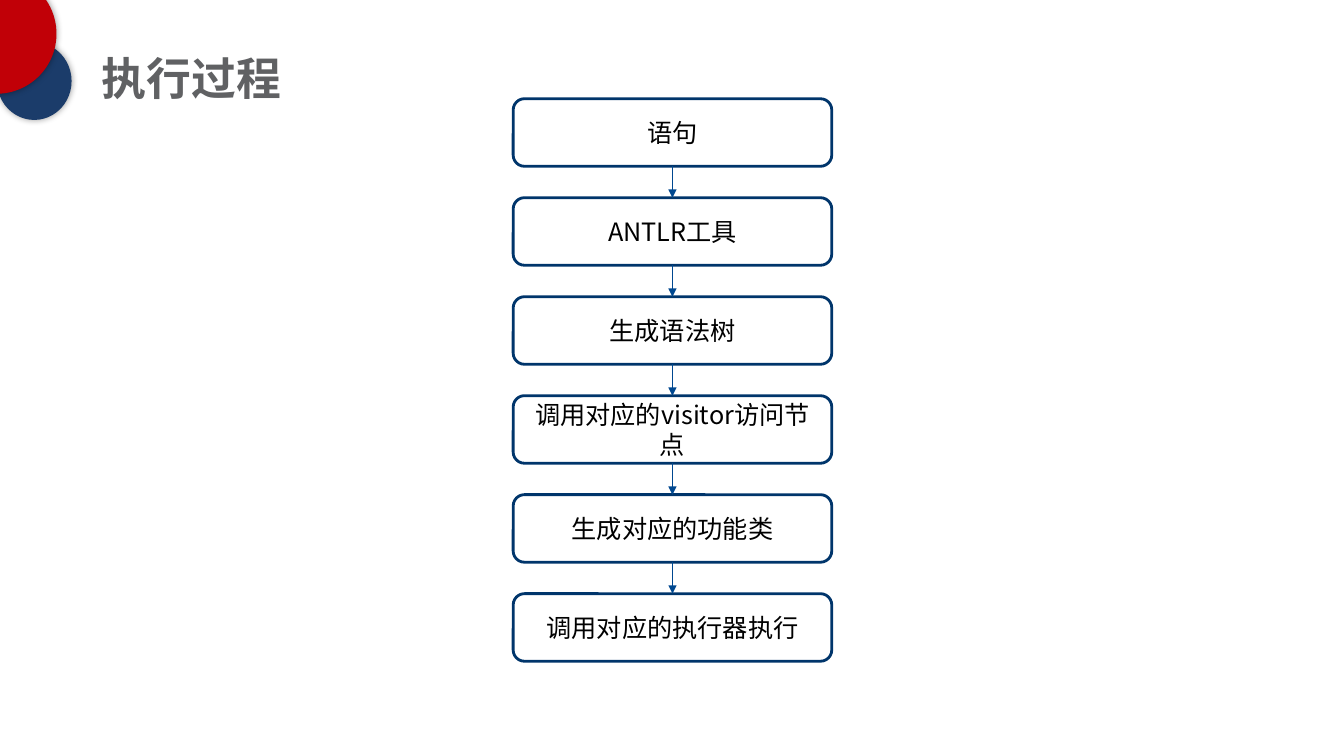
from lxml import etree
from pptx import Presentation
from pptx.dml.color import RGBColor
from pptx.enum.shapes import MSO_CONNECTOR, MSO_SHAPE
from pptx.enum.text import MSO_ANCHOR, MSO_AUTO_SIZE, PP_ALIGN
from pptx.oxml.ns import qn
from pptx.util import Inches, Pt

OVAL = MSO_SHAPE.OVAL
STEP_SHAPE = MSO_SHAPE.FLOWCHART_ALTERNATE_PROCESS
STRAIGHT = MSO_CONNECTOR.STRAIGHT
MIDDLE = MSO_ANCHOR.MIDDLE
NO_FIT = MSO_AUTO_SIZE.NONE
LEFT, CENTER = PP_ALIGN.LEFT, PP_ALIGN.CENTER

BLACK = RGBColor(0x00, 0x00, 0x00)
GRAY = RGBColor(0x60, 0x61, 0x63)
RED = RGBColor(0xC1, 0x00, 0x07)
BLUE = RGBColor(0x1B, 0x3C, 0x6A)
BORDER = RGBColor(0x00, 0x35, 0x6B)
ARROW = RGBColor(0x00, 0x48, 0x90)
FONT = "Noto Sans CJK SC"

# Flow grid, in inches: one column, one row per step
STEP_LEFT, STEP_TOP = 5.09, 0.98
STEP_WIDTH, STEP_HEIGHT = 3.16, 0.67
ROW_PITCH = 0.982
STEPS = [
    "语句",
    "ANTLR工具",
    "生成语法树",
    "调用对应的visitor访问节点",
    "生成对应的功能类",
    "调用对应的执行器执行",
]


def write_text(shape, text, size, color, bold=False, align=CENTER, spacing=1.0, wrap=True):
    frame = shape.text_frame
    frame.auto_size = NO_FIT
    frame.word_wrap = wrap
    frame.vertical_anchor = MIDDLE
    para = frame.paragraphs[0]
    para.alignment = align
    para.line_spacing = spacing
    para.space_before = Pt(0)
    span = para.add_run()
    span.text = text
    span.font.name = FONT
    span.font.size = Pt(size)
    span.font.bold = bold
    span.font.color.rgb = color
    # East Asian characters take their typeface from a separate element
    latin = span.font._element.find(qn("a:latin"))
    east_asian = etree.Element(qn("a:ea"), typeface=FONT)
    latin.addnext(east_asian)


def add_disc(page, left, top, width, height, color):
    disc = page.shapes.add_shape(OVAL, Inches(left), Inches(top), Inches(width), Inches(height))
    disc.fill.solid()
    disc.fill.fore_color.rgb = color
    disc.line.fill.background()
    # Soft shadow around the edge
    disc.shadow.inherit = False
    effects = disc._element.spPr.find(qn("a:effectLst"))
    shadow = etree.SubElement(effects, qn("a:outerShdw"), blurRad=str(Pt(5)), dist="0", dir="0")
    shade = etree.SubElement(shadow, qn("a:srgbClr"), val=str(BLACK))
    etree.SubElement(shade, qn("a:alpha"), val="40000")


def add_title(page, text):
    title = page.shapes.title
    title.left, title.top = Inches(0.91), Inches(0.46)
    title.width, title.height = Inches(2.03), Inches(0.52)
    write_text(title, text, 32, GRAY, bold=True, align=LEFT, spacing=1.2, wrap=False)


def add_step(page, row, text):
    top = STEP_TOP + row * ROW_PITCH
    box = page.shapes.add_shape(
        STEP_SHAPE, Inches(STEP_LEFT), Inches(top), Inches(STEP_WIDTH), Inches(STEP_HEIGHT))
    box.shadow.inherit = False
    box.fill.background()
    box.line.color.rgb = BORDER
    box.line.width = Pt(2)
    write_text(box, text, 18, BLACK)


def add_arrow(page, row):
    """Link the step in this row to the next one."""
    center = Inches(STEP_LEFT + STEP_WIDTH / 2)
    start = STEP_TOP + row * ROW_PITCH + STEP_HEIGHT
    end = STEP_TOP + (row + 1) * ROW_PITCH
    arrow = page.shapes.add_connector(STRAIGHT, center, Inches(start), center, Inches(end))
    arrow.line.color.rgb = ARROW
    arrow.line.width = Pt(0.5)
    etree.SubElement(arrow.line._get_or_add_ln(), qn("a:tailEnd"), type="triangle")
    etree.SubElement(arrow._element.spPr, qn("a:effectLst"))


def main():
    deck = Presentation()
    deck.slide_width, deck.slide_height = Inches(13.33), Inches(7.5)
    page = deck.slides.add_slide(deck.slide_layouts[5])

    # Corner decoration
    add_disc(page, -0.03, 0.42, 0.74, 0.77, BLUE)
    add_disc(page, -0.63, -0.26, 1.19, 1.19, RED)

    add_title(page, "执行过程")

    # Flow from statement to execution
    for row, text in enumerate(STEPS):
        add_step(page, row, text)
    for row in range(len(STEPS) - 1):
        add_arrow(page, row)

    deck.save("out.pptx")


if __name__ == "__main__":
    main()
